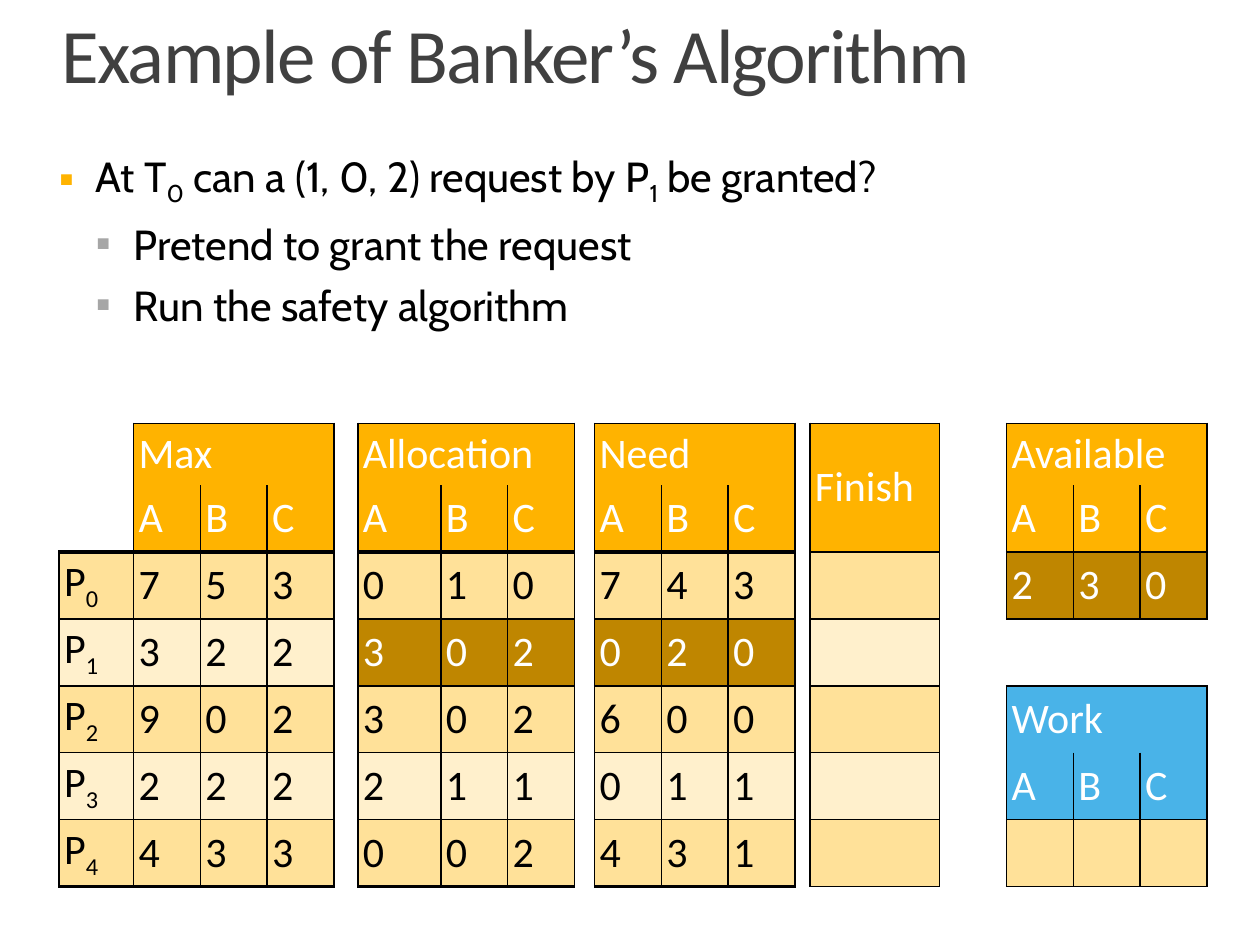
import pptx
import pptx.util
import pptx.dml.color
import pptx.enum.text
import pptx.oxml.ns
import lxml.etree

RGB = pptx.dml.color.RGBColor
Inches, Pt = pptx.util.Inches, pptx.util.Pt

AMBER = RGB(0xFF, 0xB3, 0x00)
AMBER_MID = RGB(0xFF, 0xE1, 0x99)
AMBER_PALE = RGB(0xFF, 0xF0, 0xCC)
AMBER_DARK = RGB(0xBF, 0x86, 0x00)
BLUE = RGB(0x49, 0xB3, 0xE8)
GREY = RGB(0xA6, 0xA6, 0xA6)
CHARCOAL = RGB(0x40, 0x40, 0x40)
BLACK = RGB(0, 0, 0)
WHITE = RGB(0xFF, 0xFF, 0xFF)

SLIDE_W, SLIDE_H = Inches(10), Inches(7.5)
LEFT = 0.047  # share of the slide width
UNIT = 0.53
COLUMNS = ([0.59] + [UNIT] * 3 + [0.19, 0.66] + [UNIT] * 2 + [0.16]
           + [UNIT] * 3 + [0.12, 1.03] + [UNIT] * 4)
ROWS = [0.49] + [UNIT] * 6
FIRST_PROCESS_ROW = 2
FINISH_COL = 13
THICK_COLS = range(12)

PROCESS_BLOCKS = {  # title: (first column, one row of values per process)
    "Max": (1, ["753", "322", "902", "222", "433"]),
    "Allocation": (5, ["010", "302", "302", "211", "002"]),
    "Need": (9, ["743", "020", "600", "011", "431"]),
}
CHANGED = {(3, "Allocation"), (3, "Need")}


def sub(parent, tag, **attributes):
    return lxml.etree.SubElement(parent, pptx.oxml.ns.qn(tag), attributes)


def add_runs(paragraph, pieces, size, typeface, color):
    """Add the pieces as runs; every second piece is a subscript."""
    for i, piece in enumerate(pieces):
        run = paragraph.add_run()
        run.text = piece
        run.font.size, run.font.name = Pt(size), typeface
        run.font.color.rgb = color
        if i % 2:
            run.font._element.set("baseline", "-25000")


def place(shape, left, top, width, height):
    """Place a shape by shares of the slide size."""
    shape.left, shape.top = int(SLIDE_W * left), int(SLIDE_H * top)
    shape.width, shape.height = int(SLIDE_W * width), int(SLIDE_H * height)


def set_frame(frame, anchor, left=0, top=0):
    frame.margin_left, frame.margin_top = Inches(left), Inches(top)
    frame.margin_right = frame.margin_bottom = 0
    frame.vertical_anchor = anchor
    frame.auto_size = pptx.enum.text.MSO_AUTO_SIZE.NONE
    frame.word_wrap = True


def write_title(title, text):
    place(title, 0, 0, 1, 0.104)
    set_frame(title.text_frame, pptx.enum.text.MSO_ANCHOR.BOTTOM, 0.49, 0.04)
    paragraph = title.text_frame.paragraphs[0]
    paragraph.alignment = pptx.enum.text.PP_ALIGN.LEFT
    paragraph.line_spacing = 0.8
    add_runs(paragraph, [text], 44, "Calibri", CHARCOAL)
    paragraph.runs[0].font._element.set("spc", "-100")


def write_bullets(body, items):
    place(body, LEFT, 0.159, 0.906, 0.368)
    frame = body.text_frame
    set_frame(frame, pptx.enum.text.MSO_ANCHOR.TOP)
    for i, (level, pieces) in enumerate(items):
        paragraph = frame.add_paragraph() if i else frame.paragraphs[0]
        paragraph.level = level
        properties = paragraph._p.get_or_add_pPr()
        properties.set("marL", str(Inches(0.59 if level else 0.29)))
        properties.set("indent", str(Inches(-0.3 if level else -0.29)))
        bullet_color = sub(properties, "a:buClr")
        sub(bullet_color, "a:srgbClr", val=str(GREY if level else AMBER))
        sub(properties, "a:buFont", typeface="Calibri")
        sub(properties, "a:buChar", char="▪")
        paragraph.space_before = Pt(6 if i else 0)
        add_runs(paragraph, pieces, 24, "Cabin", BLACK)


def band(row):
    return AMBER_PALE if row % 2 else AMBER_MID


def add_heading(content, merges, row, col, title, fill):
    """Add a title over three columns, with A, B, C below it."""
    merges.append((row, col, row, col + 2))
    for i, letter in enumerate("ABC"):
        content[row, col + i] = ([] if i else [title], fill)
        content[row + 1, col + i] = ([letter], fill)


def plan_state():
    """Give {(row, column): (text pieces, fill)} and the merged ranges."""
    content, merges = {}, [(0, FINISH_COL, 1, FINISH_COL)]
    for title, (col, values) in PROCESS_BLOCKS.items():
        add_heading(content, merges, 0, col, title, AMBER)
        for row, digits in enumerate(values, FIRST_PROCESS_ROW):
            fill = AMBER_DARK if (row, title) in CHANGED else band(row)
            for i, digit in enumerate(digits):
                content[row, col + i] = ([digit], fill)
    content[0, FINISH_COL] = (["Finish"], AMBER)
    content[1, FINISH_COL] = ([], AMBER)
    for row in range(FIRST_PROCESS_ROW, len(ROWS)):
        content[row, 0] = (["P", str(row - FIRST_PROCESS_ROW)], band(row))
        content[row, FINISH_COL] = ([], band(row))
    add_heading(content, merges, 0, 15, "Available", AMBER)
    add_heading(content, merges, 4, 15, "Work", BLUE)
    for i, digit in enumerate("230"):
        content[2, 15 + i] = ([digit], AMBER_DARK)
        content[6, 15 + i] = ([], band(6))
    return content, merges


def border_width(content, row, col, other):
    """Points of line between a cell and its neighbour, 0 for none."""
    here, there = content.get((row, col)), content.get(other)
    if not here and not there:
        return 0
    if other[0] != row:
        if here and there and here[1] == there[1] and here[1] in (AMBER, BLUE):
            return 0
        if max(row, other[0]) in (FIRST_PROCESS_ROW, len(ROWS)) and col in THICK_COLS:
            return 2.25
    return 1


def draw_borders(cell, content, area):
    top, left, bottom, right = area
    neighbours = {"L": (top, left - 1), "R": (top, right + 1),
                  "T": (top - 1, left), "B": (bottom + 1, left)}
    properties = cell._tc.get_or_add_tcPr()
    for side, other in neighbours.items():
        row = bottom if side == "B" else top
        col = right if side == "R" else left
        width = border_width(content, row, col, other)
        line = sub(properties, "a:ln" + side, w=str(Pt(width)))
        if width:
            sub(sub(line, "a:solidFill"), "a:srgbClr", val=str(BLACK))
        else:
            sub(line, "a:noFill")


def add_state_table(slide):
    content, merges = plan_state()
    table = slide.shapes.add_table(
        len(ROWS), len(COLUMNS), int(SLIDE_W * LEFT), Inches(3.36),
        Inches(sum(COLUMNS)), Inches(sum(ROWS))).table
    table.first_row = table.horz_banding = False
    for col, width in enumerate(COLUMNS):
        table.columns[col].width = Inches(width)
    areas = {}
    for top, left, bottom, right in merges:
        table.cell(top, left).merge(table.cell(bottom, right))
        for row in range(top, bottom + 1):
            for col in range(left, right + 1):
                areas[row, col] = (top, left, bottom, right)
    for row, height in enumerate(ROWS):
        table.rows[row].height = Inches(height)
        for col in range(len(COLUMNS)):
            cell = table.cell(row, col)
            cell.margin_left = cell.margin_right = Inches(0.04)
            cell.margin_top = cell.margin_bottom = Inches(0.04)
            cell.vertical_anchor = pptx.enum.text.MSO_ANCHOR.MIDDLE
            draw_borders(cell, content, areas.get((row, col), (row, col, row, col)))
            if (row, col) not in content:
                cell.fill.background()
                continue
            pieces, fill = content[row, col]
            cell.fill.solid()
            cell.fill.fore_color.rgb = fill
            ink = WHITE if fill in (AMBER, AMBER_DARK, BLUE) else BLACK
            add_runs(cell.text_frame.paragraphs[0], pieces, 24, "Calibri", ink)


def main():
    deck = pptx.Presentation()
    deck.slide_width, deck.slide_height = SLIDE_W, SLIDE_H
    slide = deck.slides.add_slide(deck.slide_layouts[1])
    write_title(slide.shapes.title, "Example of Banker’s Algorithm")
    add_state_table(slide)
    write_bullets(slide.placeholders[1], [
        (0, ["At T", "0", " can a (1, 0, 2) request by P", "1", " be granted?"]),
        (1, ["Pretend to grant the request"]),
        (1, ["Run the safety algorithm"]),
    ])
    deck.save("out.pptx")


if __name__ == "__main__":
    main()
